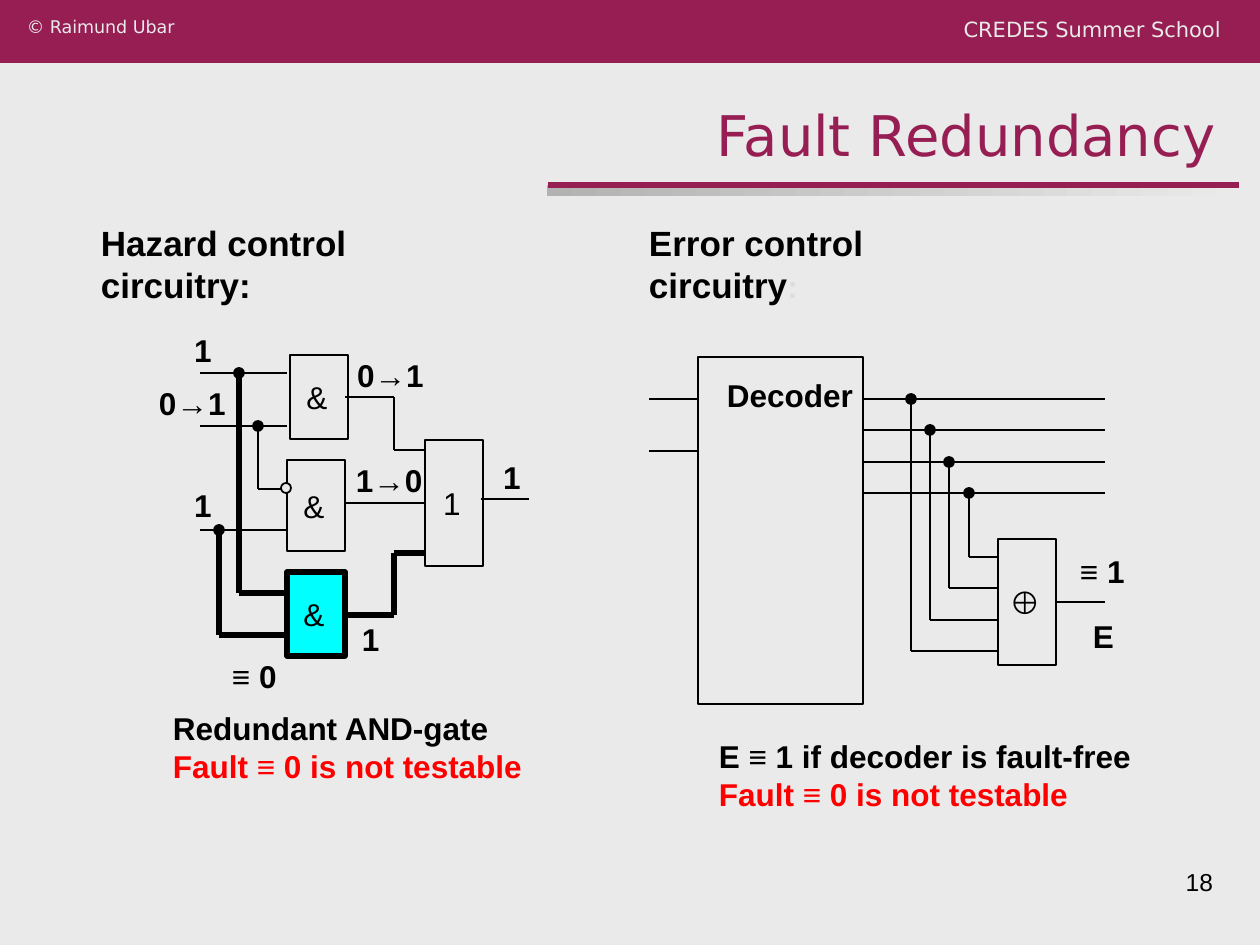
import pptx
import pptx.util
import pptx.dml.color
import pptx.enum.shapes
import pptx.enum.text
import pptx.oxml.ns
import lxml.etree

PX = 914400 / 126
SHAPE = pptx.enum.shapes.MSO_SHAPE
ALIGN = pptx.enum.text.PP_ALIGN
ANCHOR = pptx.enum.text.MSO_ANCHOR
BLACK, RED, GREY, WINE, CYAN = "000000", "FF0000", "EAEAEA", "971E53", "00FFFF"
SANS = "DejaVu Sans"
THIN, THICK = 1, 3


def px(n):
    return pptx.util.Emu(round(n * PX))


def rgb(code):
    return pptx.dml.color.RGBColor.from_string(code)


def write(shape, lines, align=ALIGN.LEFT, anchor=ANCHOR.MIDDLE,
          inset=(13, 6, 13, 6), wrap=True):
    """Fill a shape with lines, each a list of (text, size, colour, bold, font)."""
    frame = shape.text_frame
    frame.word_wrap = wrap
    frame.vertical_anchor = anchor
    (frame.margin_left, frame.margin_top,
     frame.margin_right, frame.margin_bottom) = map(px, inset)
    for i, runs in enumerate(lines):
        para = frame.add_paragraph() if i else frame.paragraphs[0]
        para.alignment = align
        for text, size, color, bold, font in runs:
            run = para.add_run()
            run.text = text
            run.font.size = pptx.util.Pt(size)
            run.font.bold = bold
            run.font.name = font
            run.font.color.rgb = rgb(color)


def bold(text, size=18, color=BLACK):
    return (text, size, color, True, "Arial")


def plain(text, size=18, color=BLACK, font="Arial"):
    return (text, size, color, False, font)


def block(slide, kind, x, y, w, h, fill, line=None, width=THIN):
    shape = slide.shapes.add_shape(kind, px(x), px(y), px(w), px(h))
    shape.shadow.inherit = False
    if fill:
        shape.fill.solid()
        shape.fill.fore_color.rgb = rgb(fill)
    if line:
        shape.line.color.rgb = rgb(line)
        shape.line.width = pptx.util.Pt(width)
    else:
        shape.line.fill.background()
    return shape


def label(slide, x, y, w, h, lines, **style):
    write(slide.shapes.add_textbox(px(x), px(y), px(w), px(h)), lines, **style)


def wire(slide, ox, oy, points, width=THIN, color=BLACK):
    """Join the points, given relative to (ox, oy), by straight lines."""
    for (ax, ay), (bx, by) in zip(points, points[1:]):
        line = slide.shapes.add_connector(
            pptx.enum.shapes.MSO_CONNECTOR.STRAIGHT,
            px(ox + ax), px(oy + ay), px(ox + bx), px(oy + by))
        line.line.color.rgb = rgb(color)
        line.line.width = pptx.util.Pt(width)
        lxml.etree.SubElement(line._element.spPr,
                              pptx.oxml.ns.qn("a:effectLst"))


def dot(slide, x, y, fill=BLACK):
    block(slide, SHAPE.OVAL, x - 5, y - 5, 10, 10, fill, BLACK)


def gate(slide, x, y, h, sign, fill=GREY, width=THIN):
    box = block(slide, SHAPE.RECTANGLE, x, y, 58, h, fill, BLACK, width)
    write(box, [[plain(sign)]], ALIGN.CENTER, inset=(0, 0, 4, 0))


def frame(slide):
    """Draw the top band, title, rule and page number."""
    block(slide, SHAPE.RECTANGLE, 0, 0, 1260, 63, WINE)
    fade = block(slide, SHAPE.RECTANGLE, 547, 185, 694, 11, None)
    fade.fill.gradient()
    fade.fill.gradient_angle = 0
    for stop, color, place in zip(fade.fill.gradient_stops,
                                  ("B2B2B2", GREY), (0, 1)):
        stop.color.rgb = rgb(color)
        stop.position = place
    wire(slide, 548, 185, [(0, 0), (691, 0)], THICK, WINE)
    label(slide, 934, 11, 300, 40,
          [[plain("CREDES Summer School", 12, GREY, SANS)]],
          align=ALIGN.RIGHT, anchor=ANCHOR.TOP)
    label(slide, 14, 10, 300, 40,
          [[plain("© Raimund Ubar", 10, GREY, SANS)]], anchor=ANCHOR.TOP)
    label(slide, 0, 95, 1229, 79,
          [[plain("Fault Redundancy", 32, WINE, SANS)]],
          align=ALIGN.RIGHT, anchor=ANCHOR.BOTTOM)
    label(slide, 903, 861, 323, 66, [[plain("18", 14)]],
          align=ALIGN.RIGHT, anchor=ANCHOR.TOP)


def hazard(slide, ox, oy):
    label(slide, ox, oy, 430, 55, [[bold("Hazard control circuitry:", 20)]],
          wrap=False)
    gate(slide, ox + 337, oy + 204, 126, "1")
    gate(slide, ox + 202, oy + 119, 84, "&")
    gate(slide, ox + 199, oy + 224, 91, "&")
    gate(slide, ox + 199, oy + 336, 84, "&", CYAN, THICK)
    for y in (137, 190, 294):
        wire(slide, ox, oy, [(112, y), (199, y)])
    for points in (
            [(257, 161), (306, 161), (306, 214), (337, 214)],
            [(256, 267), (336, 267)],
            [(170, 190), (170, 253), (199, 253)],
            [(393, 263), (441, 263)]):
        wire(slide, ox, oy, points)
    for points in (
            [(256, 379), (306, 379), (306, 317), (336, 317)],
            [(151, 137), (151, 357), (199, 357)],
            [(131, 294), (131, 399), (199, 399)]):
        wire(slide, ox, oy, points, THICK)
    for x, y in ((151, 137), (170, 190), (131, 294)):
        dot(slide, ox + x, oy + y)
    dot(slide, ox + 198, oy + 252, GREY)
    for x, y, w, text in (
            (93, 89, 55, "1"), (93, 244, 55, "1"), (58, 142, 110, "0→1"),
            (255, 219, 115, "1→0"), (256, 114, 135, "0→1"),
            (402, 216, 55, "1"), (261, 378, 55, "1"), (131, 415, 77, "≡ 0")):
        label(slide, ox + x, oy + y, w, 50, [[bold(text)]])
    label(slide, ox + 72, oy + 467, 381, 88,
          [[bold("Redundant AND-gate")],
           [bold("Fault ≡ 0 is not testable", color=RED)]], wrap=False)


def error(slide, ox, oy):
    label(slide, ox, oy, 398, 55,
          [[bold("Error control circuitry", 20), bold(":", color="DDDDDD")]],
          wrap=False)
    box = block(slide, SHAPE.RECTANGLE, ox + 62, oy + 121, 165, 347,
                GREY, BLACK)
    write(box, [[bold("Decoder")]], anchor=ANCHOR.TOP, inset=(29, 19, 0, 0),
          wrap=False)
    for y in (163, 215):
        wire(slide, ox, oy, [(13, y), (62, y)])
    gate(slide, ox + 362, oy + 303, 126, "⊕")
    wire(slide, ox, oy, [(421, 366), (469, 366)])
    for i in range(4):
        step = 63 * i // 2
        row, tap, pin = 163 + step, 275 + 58 * i // 3, 415 - step
        wire(slide, ox, oy, [(227, row), (469, row)])
        wire(slide, ox, oy, [(tap, row), (tap, pin), (362, pin)])
        dot(slide, ox + tap, oy + row)
    for x, y, w, text in ((431, 310, 76, "≡ 1"), (444, 375, 45, "E")):
        label(slide, ox + x, oy + y, w, 50, [[bold(text)]])
    label(slide, ox + 70, oy + 495, 452, 88,
          [[bold("E ≡ 1 if decoder is fault-free")],
           [bold("Fault ≡ 0 is not testable", color=RED)]], wrap=False)


def main():
    deck = pptx.Presentation()
    deck.slide_width, deck.slide_height = px(1260), px(945)
    slide = deck.slides.add_slide(deck.slide_layouts[6])
    slide.background.fill.solid()
    slide.background.fill.fore_color.rgb = rgb(GREY)
    frame(slide)
    hazard(slide, 88, 236)
    error(slide, 636, 236)
    deck.save("out.pptx")


if __name__ == "__main__":
    main()
